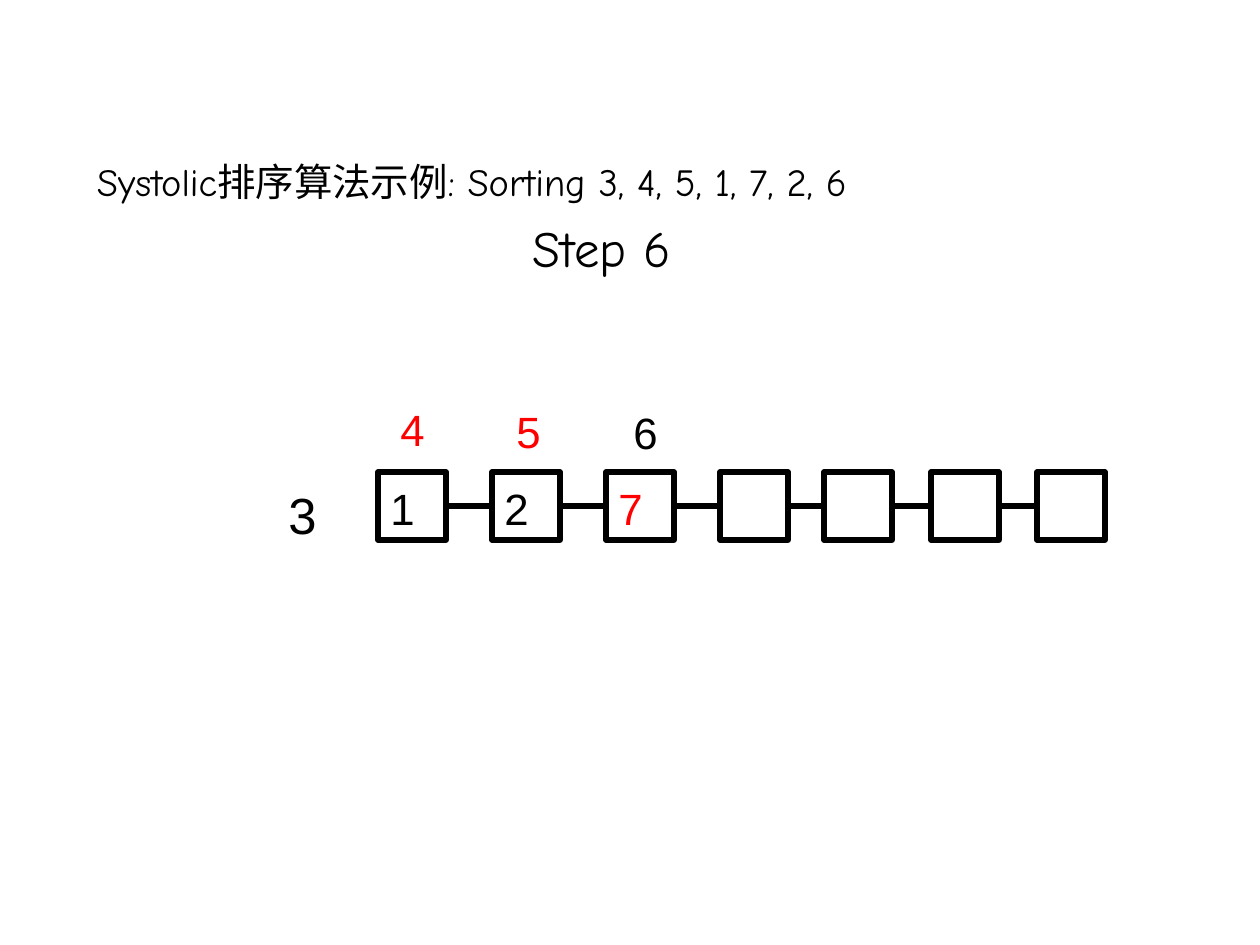
from pptx import Presentation, util as u
from pptx.dml.color import RGBColor
from pptx.enum import shapes, text
from lxml import etree

PX = 914400 // 126
HUES = {"ink": "000000", "hot": "FF0000"}
A = "{http://schemas.openxmlformats.org/drawingml/2006/main}"
LEFTS = [378, 492, 606, 720, 824, 931, 1037]
SIDE = 68


def px(*nums):
    return [u.Emu(n * PX) for n in nums]


def hue(name):
    return RGBColor.from_string(HUES[name])


def style(para, size, face, tint="ink"):
    for run in para.runs:
        run.font.size = u.Pt(size)
        run.font.name = face
        run.font.color.rgb = hue(tint)


def pen(line):
    line.color.rgb = hue("ink")
    line.width = u.Pt(3)


def head(slide, x, y, w, h):
    """Title line with the step name indented below it."""
    frame = slide.shapes.add_textbox(*px(x, y, w, h)).text_frame
    frame.word_wrap = True
    frame.margin_left, frame.margin_right = px(8, 8)
    frame.margin_top, frame.margin_bottom = px(4, 4)
    title, step = frame.paragraphs[0], frame.add_paragraph()
    title.text = "Systolic排序算法示例: Sorting 3, 4, 5, 1, 7, 2, 6"
    step.text = "Step 6"
    step.space_before = u.Pt(7.3)
    step._p.get_or_add_pPr().set("marL", str(436 * PX))
    style(title, 22, "Comic Neue")
    style(step, 29, "Comic Neue")


def label(slide, x, y, w, h, digit, size, tint="ink", side="LEFT"):
    frame = slide.shapes.add_textbox(*px(x, y, w, h)).text_frame
    frame.word_wrap = False
    para = frame.paragraphs[0]
    para.text = digit
    para.alignment = getattr(text.PP_ALIGN, side)
    style(para, size, "Arial", tint)


def cell(slide, x, y, digit, tint):
    box = slide.shapes.add_shape(shapes.MSO_SHAPE.RECTANGLE, *px(x, y, SIDE, SIDE))
    box.shadow.inherit = False
    box.fill.background()
    pen(box.line)
    if digit:
        frame = box.text_frame
        frame.word_wrap = False
        frame.vertical_anchor = text.MSO_ANCHOR.MIDDLE
        frame.margin_top = px(10)[0]
        para = frame.paragraphs[0]
        para.text = digit
        para.alignment = text.PP_ALIGN.LEFT
        style(para, 25, "Arial", tint)


def link(slide, start, end, y):
    line = slide.shapes.add_connector(
        shapes.MSO_CONNECTOR.STRAIGHT, *px(start, y, end, y))
    pen(line.line)
    etree.SubElement(line._element.spPr, A + "effectLst")


def array(slide, y):
    """Row of cells, the links between them and the waiting values."""
    held = [("1", "ink"), ("2", "ink"), ("7", "hot")]
    held += [("", "ink")] * (len(LEFTS) - len(held))
    for x, (digit, tint) in zip(LEFTS, held):
        cell(slide, x, y, digit, tint)
    for x, after in zip(LEFTS, LEFTS[1:]):
        link(slide, x + SIDE + 2, after - 2, y + SIDE // 2)

    # Values above the cells, and the next one to enter
    above = [("4", "hot", 388, 397), ("5", "hot", 504, 399), ("6", "ink", 621, 400)]
    for digit, tint, x, top in above:
        label(slide, x, top, 49, 65, digit, 25, tint)
    label(slide, 276, y + 6, 53, 74, "3", 29, side="RIGHT")


def main():
    deck = Presentation()
    deck.slide_width, deck.slide_height = px(1260, 945)
    slide = deck.slides.add_slide(deck.slide_layouts[6])
    head(slide, 89, 154, 953, 129)
    array(slide, 472)
    deck.save("out.pptx")


if __name__ == "__main__":
    main()
